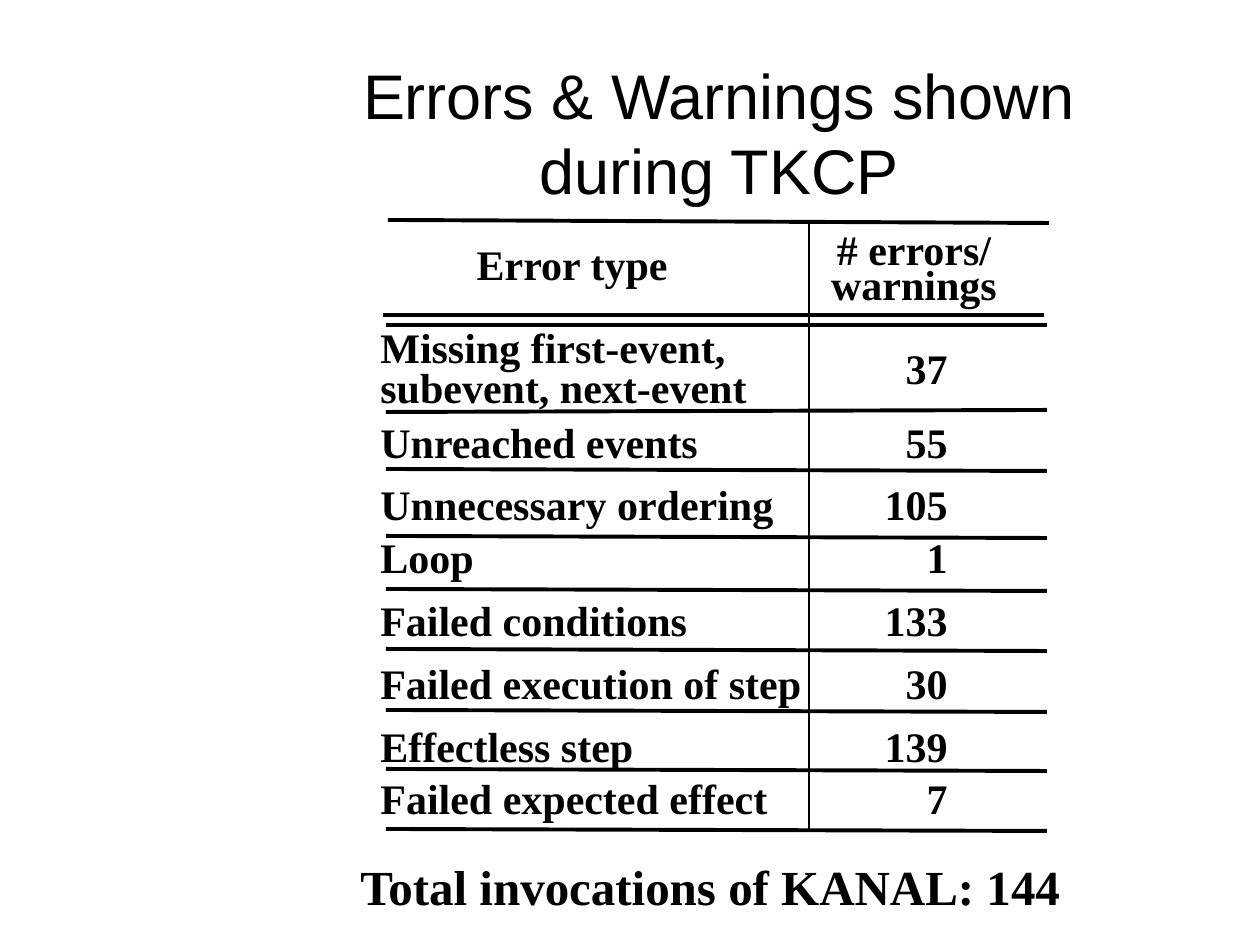
import pptx
import pptx.util
import pptx.oxml.xmlchemy
import pptx.dml.color
import pptx.enum.shapes
import pptx.enum.text

PX = 914400 // 126
COLORS = {"ink": "000000", "paper": "FFFFFF"}
ALIGN = pptx.enum.text.PP_ALIGN
ANCHOR = pptx.enum.text.MSO_ANCHOR
FIT = pptx.enum.text.MSO_AUTO_SIZE
HEADING = {"name": "Arial", "size": pptx.util.Pt(36), "bold": False}
BODY = {"name": "Times New Roman", "size": pptx.util.Pt(24), "bold": True}
TOTAL = {**BODY, "size": pptx.util.Pt(28)}

# label, value, label width, label top, value top, rule left y, rule right y
ROWS = [
    ("Missing first-event, subevent, next-event", "37", 420, 105, 116, 192, 190),
    ("Unreached events", "55", 352, 190, 190, 249, 251),
    ("Unnecessary ordering", "105", 428, 252, 252, 316, 318),
    ("Loop", "1", 128, 305, 305, 369, 371),
    ("Failed conditions", "133", 342, 368, 368, 429, 431),
    ("Failed execution of step", "30", 456, 431, 431, 490, 492),
    ("Effectless step", "139", 288, 494, 494, 549, 551),
    ("Failed expected effect", "7", 422, 546, 546, 609, 611),
]


def px(n):
    return pptx.util.Emu(n * PX)


def rgb(name):
    return pptx.dml.color.RGBColor.from_string(COLORS[name])


def set_all(obj, values):
    for key, value in values.items():
        setattr(obj, key, value)


def format_paragraph(p, font, **layout):
    set_all(p, layout)
    set_all(p.font, font)
    p.font.color.rgb = rgb("ink")


def add_text(s, box, lines, font, wrap=False, **layout):
    tf = s.shapes.add_textbox(*map(px, box)).text_frame
    set_all(tf, {"word_wrap": wrap, "auto_size": FIT.SHAPE_TO_FIT_TEXT})
    tf.text = "\n".join(lines)
    for p in tf.paragraphs:
        format_paragraph(p, font, **layout)


def add_rule(s, x1, y1, x2, y2, weight=2.25):
    c = s.shapes.add_connector(
        pptx.enum.shapes.MSO_CONNECTOR.STRAIGHT, *map(px, (x1, y1, x2, y2)))
    c.line.color.rgb = rgb("ink")
    c.line.width = pptx.util.Pt(weight)
    c._element.spPr.append(pptx.oxml.xmlchemy.OxmlElement("a:effectLst"))


def title(s, box):
    sp = s.shapes.title
    set_all(sp, dict(zip(("left", "top", "width", "height"), map(px, box))))
    tf = sp.text_frame
    set_all(tf, {"word_wrap": True, "auto_size": FIT.NONE,
                 "vertical_anchor": ANCHOR.MIDDLE})
    p = tf.paragraphs[0]
    p.add_run().text = "Errors & Warnings shown"
    p.add_line_break()
    p.add_run().text = "during TKCP"
    format_paragraph(p, HEADING, alignment=ALIGN.CENTER)


def error_table(s, box):
    x, y, w, h = box
    add_rule(s, x + 2, y, x + w + 2, y + 3)
    add_rule(s, x - 3, y + 95, x + w - 3, y + 95)
    add_rule(s, x, y + 105, x + w, y + 105)
    add_rule(s, x + 423, y, x + 423, y + h, 1)
    add_text(s, (x - 50, y + 22, 483, 53), ["Error type "], BODY, wrap=True,
             alignment=ALIGN.CENTER, line_spacing=0.8)
    add_text(s, (x + 426, y + 11, 204, 83), ["# errors/", "warnings"], BODY,
             wrap=True, alignment=ALIGN.CENTER, line_spacing=0.7)
    for i, (label, value, width, top, value_top, left_y, right_y) in enumerate(ROWS):
        spacing = {"line_spacing": 0.8} if i == 0 else {}
        add_text(s, (x - 18, y + top, width, 93 if i == 0 else 63), [label], BODY,
                 wrap=True, alignment=ALIGN.LEFT, **spacing)
        add_text(s, (x + 486, y + value_top, 88, 63), [value], BODY, wrap=True,
                 alignment=ALIGN.RIGHT)
        add_rule(s, x, y + left_y, x + w, y + right_y)


def total(s, box):
    add_text(s, box, ["Total invocations of KANAL: 144"], TOTAL, wrap=True,
             alignment=ALIGN.LEFT)


def main():
    prs = pptx.Presentation()
    set_all(prs, {"slide_width": px(1260), "slide_height": px(945)})
    s = prs.slides.add_slide(prs.slide_layouts[5])
    s.background.fill.solid()
    s.background.fill.fore_color.rgb = rgb("paper")
    title(s, (220, 53, 998, 158))
    error_table(s, (386, 220, 661, 609))
    total(s, (348, 850, 756, 72))
    prs.save("out.pptx")


if __name__ == "__main__":
    main()
